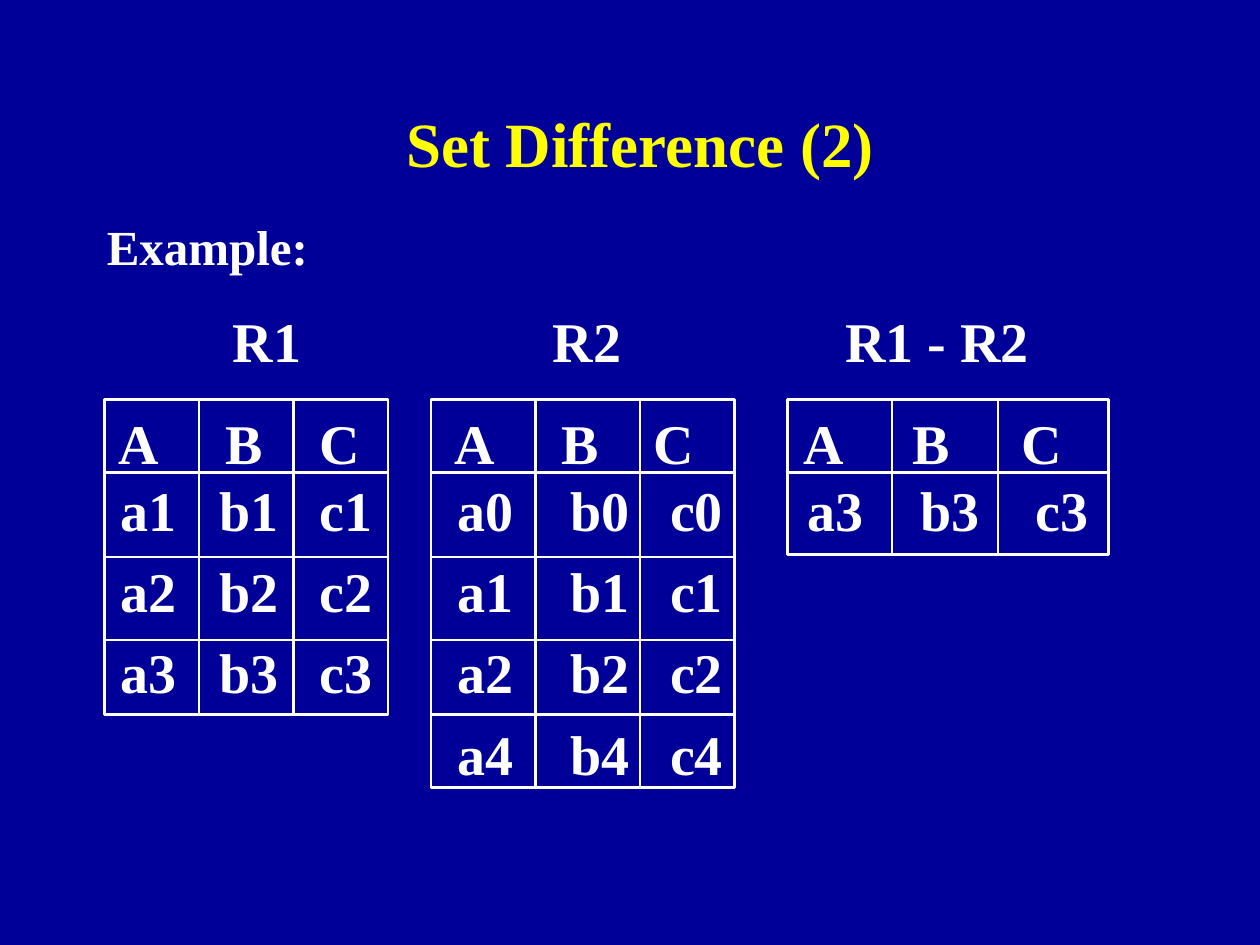
from lxml import etree
from pptx import Presentation
from pptx.dml.color import RGBColor
from pptx.enum import shapes, text
from pptx.oxml import ns
from pptx.util import Inches, Pt

HUES = {"back": "000099", "title": "FFFF00", "ink": "FFFFFF"}
FONT = "Times New Roman"


def write(para, words, size, hue="ink"):
    run = para.add_run()
    run.text = words
    run.font.name = FONT
    run.font.size = Pt(size)
    run.font.bold = True
    run.font.color.rgb = RGBColor.from_string(HUES[hue])


def rule(x1, y1, x2, y2):
    line = slide.shapes.add_connector(shapes.MSO_CONNECTOR.STRAIGHT, Inches(x1),
                                      Inches(y1), Inches(x2), Inches(y2))
    line.line.color.rgb = RGBColor.from_string(HUES["ink"])
    line.line.width = Pt(1.5)
    etree.SubElement(line._element.spPr, ns.qn("a:effectLst"))
    return line


prs = Presentation()
prs.slide_width, prs.slide_height = Inches(10), Inches(7.5)
slide = prs.slides.add_slide(prs.slide_layouts[5])
slide.background.fill.solid()
slide.background.fill.fore_color.rgb = RGBColor.from_string(HUES["back"])

# Title
title = slide.shapes.title
title.left, title.top = Inches(0.83), Inches(0.67)
title.width, title.height = Inches(8.5), Inches(0.92)
title.text_frame.vertical_anchor = text.MSO_ANCHOR.MIDDLE
title.text_frame.paragraphs[0].alignment = text.PP_ALIGN.CENTER
write(title.text_frame.paragraphs[0], "Set Difference (2)", 36, "title")

# Text rows: words, size, space before, line spacing, tab stops
names = (1, 3.54, 5.86)
heads = (0.09, 0.94, 1.69, 2.76, 3.61, 4.34, 5.53, 6.39, 7.26)
cells = (0.11, 0.89, 1.69, 2.78, 3.68, 4.47, 5.56, 6.46, 7.37)
rows = [
    ("Example:", 28, 0, 1, ()),
    ("\tR1\tR2\tR1 - R2", 32, 18, 1, names),
    ("\tA\tB\tC" * 3, 32, 8, 1.3, heads),
    ("\ta1\tb1\tc1\ta0\tb0\tc0\ta3\tb3\tc3", 32, 0, 1, cells),
    ("\ta2\tb2\tc2\ta1\tb1\tc1", 32, 8, 1, cells),
    ("\ta3\tb3\tc3\ta2\tb2\tc2", 32, 8, 1, cells),
    ("\ta4\tb4\tc4", 32, 8, 1, cells[3:]),
]
body = slide.shapes.add_textbox(Inches(0.75), Inches(1.67), Inches(8.5), Inches(5)).text_frame
body.word_wrap = True
for i, (words, size, gap, pitch, stops) in enumerate(rows):
    para = body.add_paragraph() if i else body.paragraphs[0]
    if stops:
        tabs = etree.SubElement(para._p.get_or_add_pPr(), ns.qn("a:tabLst"))
        for stop in stops:
            etree.SubElement(tabs, ns.qn("a:tab"), pos=str(Inches(stop)), algn="l")
    para.space_before = Pt(gap)
    para.line_spacing = pitch
    write(para, words, size)

# Grids: left, right, bottom, inner columns, inner rows
top = 3.17
grids = [
    (0.83, 3.08, 5.67, (1.58, 2.33), (3.75, 4.42, 5.08)),
    (3.42, 5.83, 6.25, (4.25, 5.08), (3.75, 4.42, 5.08, 5.67)),
    (6.25, 8.8, 4.4, (7.08, 7.92), (3.75,)),
]
for left, right, foot, cols, bars in grids:
    frame = slide.shapes.add_shape(shapes.MSO_SHAPE.RECTANGLE, Inches(left), Inches(top),
                                   Inches(right - left), Inches(foot - top))
    frame.shadow.inherit = False
    frame.fill.background()
    frame.line.color.rgb = RGBColor.from_string(HUES["ink"])
    frame.line.width = Pt(1.5)
    for y in bars:
        bar = rule(left, y, right, y)
        if abs(y - (top + foot) / 2) < 0.01:
            bar.begin_connect(frame, 1)
            bar.end_connect(frame, 3)
    for x in cols:
        rule(x, top, x, foot)

prs.save("out.pptx")
